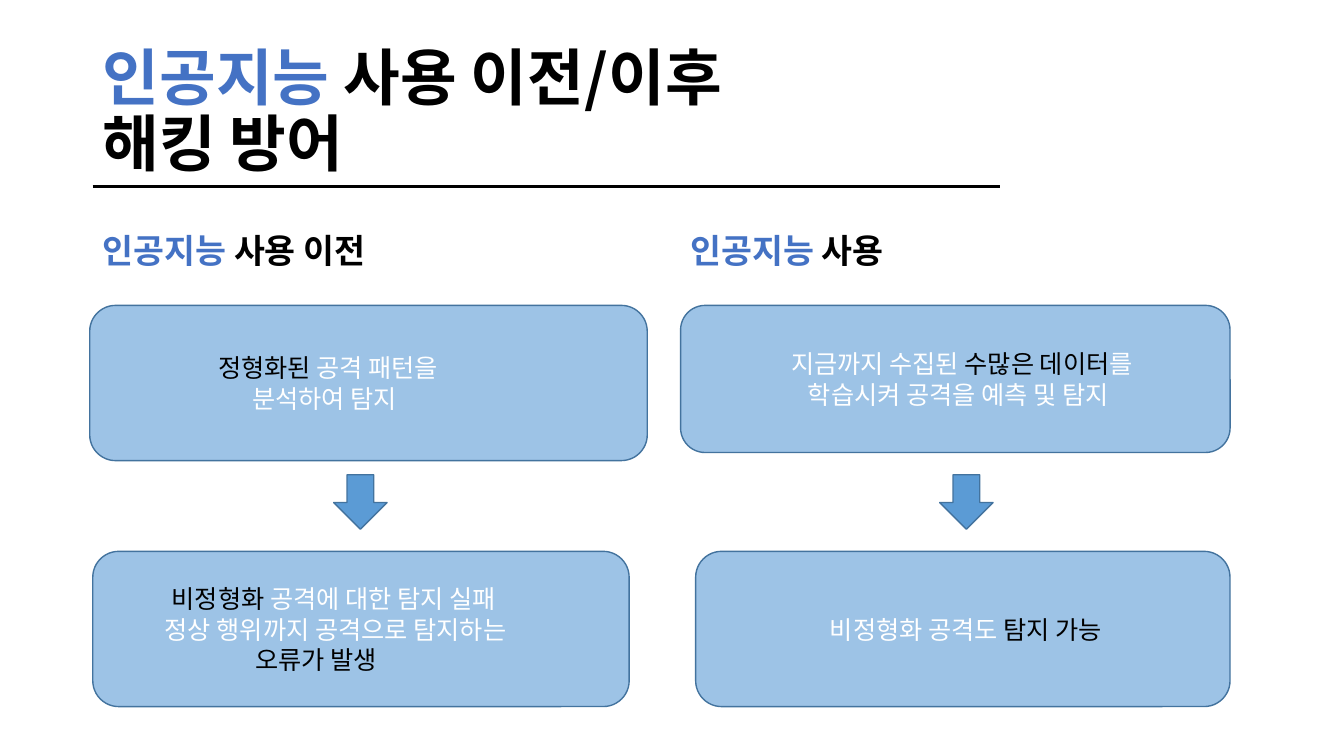
from lxml.etree import SubElement
from pptx import Presentation
from pptx.dml.color import RGBColor
from pptx.enum.shapes import MSO_CONNECTOR, MSO_SHAPE
from pptx.enum.text import MSO_ANCHOR, PP_ALIGN
from pptx.oxml.ns import qn
from pptx.util import Inches, Pt

FONT = "Noto Sans CJK KR"
BLUE, BLACK, WHITE = "4472C4", "000000", "FFFFFF"
PALE, MID, EDGE = "9DC3E6", "5B9BD5", "43739E"


def color(code):
    return RGBColor.from_string(code)


def write(frame, lines, size=18, bold=False, align=PP_ALIGN.LEFT,
          anchor=MSO_ANCHOR.MIDDLE, space=1.0):
    """Each line is (indent in inches, [(text, colour), ...])."""
    frame.word_wrap = True
    frame.vertical_anchor = anchor
    for i, (indent, runs) in enumerate(lines):
        para = frame.paragraphs[0] if i == 0 else frame.add_paragraph()
        para.alignment = align
        para.line_spacing = space
        props = para._p.get_or_add_pPr()
        props.set("marL", str(Inches(indent)))
        props.set("indent", "0")
        for text, code in runs:
            for j, part in enumerate(text.split("\n")):
                if j:
                    para.add_line_break()
                run = para.add_run()
                run.text = part
                font = run.font
                font.size, font.bold, font.name = Pt(size), bold, FONT
                font.color.rgb = color(code)
                # East Asian typeface for the Korean text
                SubElement(font._element, qn("a:ea"), typeface=FONT)


def label(slide, x, y, w, h, runs, **style):
    box = slide.shapes.add_textbox(Inches(x), Inches(y), Inches(w), Inches(h))
    write(box.text_frame, [(0, runs)], bold=True, space=0.9, **style)


def block(slide, kind, x, y, w, h, fill):
    shape = slide.shapes.add_shape(
        kind, Inches(x), Inches(y), Inches(w), Inches(h))
    shape.shadow.inherit = False
    shape.fill.solid()
    shape.fill.fore_color.rgb = color(fill)
    shape.line.color.rgb = color(EDGE)
    shape.line.width = Pt(1)
    return shape


def card(slide, x, y, w, h, lines, **style):
    shape = block(slide, MSO_SHAPE.ROUNDED_RECTANGLE, x, y, w, h, PALE)
    write(shape.text_frame, lines, **style)


def rule(slide, x, y, w):
    line = slide.shapes.add_connector(
        MSO_CONNECTOR.STRAIGHT, Inches(x), Inches(y), Inches(x + w), Inches(y))
    line.line.color.rgb = color(BLACK)
    line.line.width = Pt(2)
    SubElement(line._element.spPr, qn("a:effectLst"))


def main():
    deck = Presentation()
    deck.slide_width, deck.slide_height = Inches(13.33), Inches(7.5)
    slide = deck.slides.add_slide(deck.slide_layouts[6])

    # Title
    label(slide, 0.92, 0.4, 11.5, 1.45,
          [("인공지능", BLUE), (" 사용 이전/이후\n해킹 방어", BLACK)], size=44)
    rule(slide, 0.92, 1.85, 9)

    # Column headings and arrows
    for x, tail, mid in ((0.92, " 사용 이전", 3.31), (6.75, " 사용", 9.32)):
        label(slide, x, 1.84, 5.65, 0.9, [("인공지능", BLUE), (tail, BLACK)],
              size=24, anchor=MSO_ANCHOR.BOTTOM)
        block(slide, MSO_SHAPE.DOWN_ARROW, mid, 4.71, 0.53, 0.54, MID)

    # Before AI
    card(slide, 0.89, 3.03, 5.53, 1.54, [
        (1.1, [("정형화된 ", BLACK), ("공격 패턴을", WHITE)]),
        (1.44, [("분석하여 탐지", WHITE)])])
    card(slide, 0.92, 5.47, 5.32, 1.54, [
        (0.61, [("비정형화 ", BLACK), ("공격에 대한 탐지 실패", WHITE)]),
        (0.54, [("정상 행위까지 공격으로 탐지하는", WHITE)]),
        (1.44, [("오류가 발생", BLACK)])])

    # With AI
    card(slide, 6.75, 3.03, 5.45, 1.46, [
        (0.13, [("지금까지 수집된 ", WHITE), ("수많은 데이터", BLACK),
                ("를", WHITE)]),
        (0.06, [("학습시켜 공격을 예측 및 탐지", WHITE)])],
        align=PP_ALIGN.CENTER)
    card(slide, 6.9, 5.47, 5.3, 1.54, [
        (0.06, [("비정형화 공격도 ", WHITE), ("탐지 가능", BLACK)])],
        align=PP_ALIGN.CENTER)

    deck.save("out.pptx")


if __name__ == "__main__":
    main()
